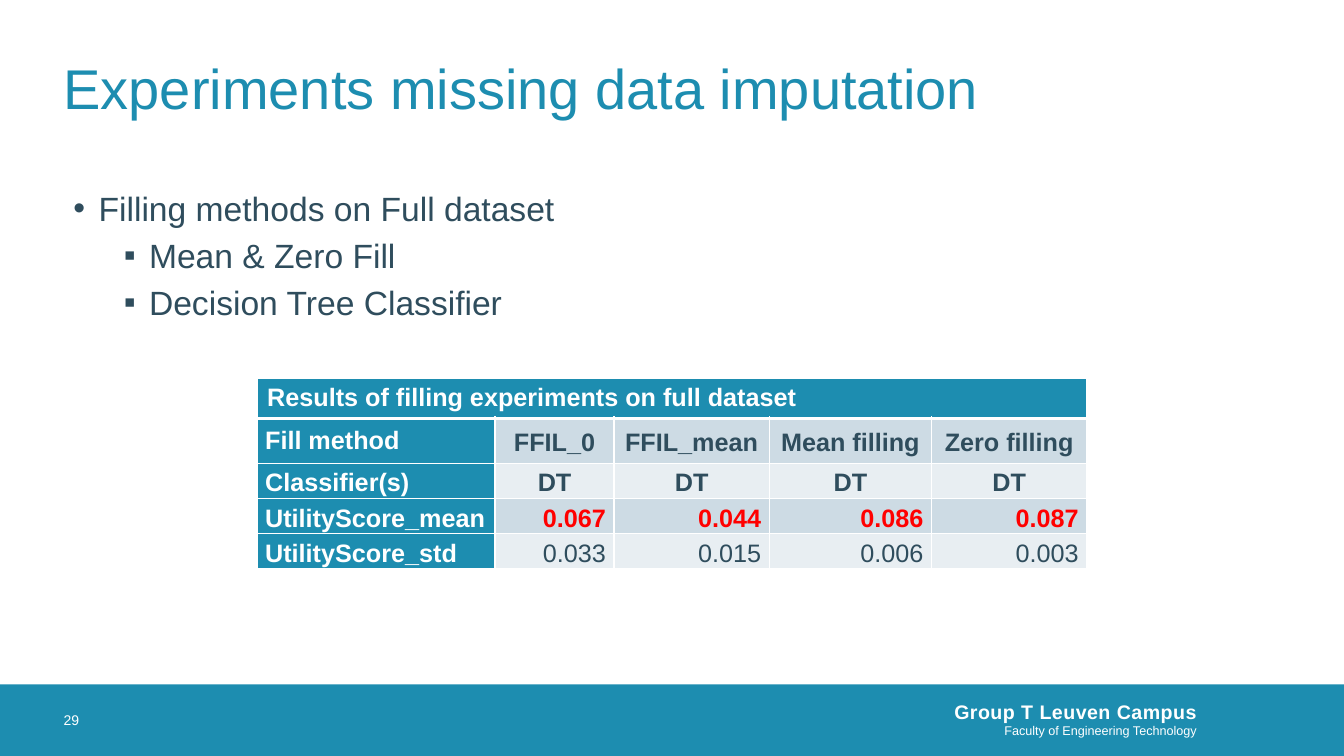
from dataclasses import dataclass

from lxml.etree import SubElement
from pptx import Presentation
from pptx.dml.color import RGBColor
from pptx.enum.shapes import MSO_SHAPE
from pptx.enum.text import MSO_ANCHOR, PP_ALIGN
from pptx.oxml.ns import qn
from pptx.util import Inches, Pt

TEAL, SLATE, WHITE, RED = "1D8DB0", "2F4D5D", "FFFFFF", "FF0000"
BAND_DARK, BAND_LIGHT = "CDDBE4", "E8EEF2"


@dataclass
class Line:
    text: str
    size: float
    color: str
    bold: bool = False
    align: PP_ALIGN = PP_ALIGN.LEFT
    before: float = 0
    after: float = 0
    leading: float = 1.0
    tracking: int = 0
    bullet: str = ""
    level: int = 0


@dataclass
class Block:
    left: float
    top: float
    width: float
    height: float
    lines: list[Line]
    anchor: MSO_ANCHOR = MSO_ANCHOR.MIDDLE
    margins: tuple[float, float, float, float] = (0, 0, 0, 0)


@dataclass
class ResultRow:
    label: str
    values: list[str]
    band: str
    color: str = SLATE
    bold: bool = True
    align: PP_ALIGN = PP_ALIGN.CENTER


def rgb(color: str) -> RGBColor:
    return RGBColor.from_string(color)


def paint(target, color: str) -> None:
    target.fill.solid()
    target.fill.fore_color.rgb = rgb(color)


def apply(target, values: dict) -> None:
    for name, value in values.items():
        setattr(target, name, value)


def margin_values(margins: tuple[float, float, float, float]) -> dict:
    sides = ("left", "top", "right", "bottom")
    return {f"margin_{side}": Inches(size) for side, size in zip(sides, margins)}


def write_lines(frame, lines: list[Line]) -> None:
    for index, line in enumerate(lines):
        paragraph = frame.paragraphs[0] if index == 0 else frame.add_paragraph()
        if line.bullet:
            properties = paragraph._p.get_or_add_pPr()
            properties.set("marL", str(Inches(0.25 + 0.5 * line.level)))
            properties.set("indent", str(Inches(-0.25)))
            SubElement(properties, qn("a:buFont")).set("typeface", "Arial")
            SubElement(properties, qn("a:buChar")).set("char", line.bullet)
        apply(paragraph, {
            "alignment": line.align, "level": line.level, "line_spacing": line.leading,
            "space_before": Pt(line.before), "space_after": Pt(line.after),
        })
        run = paragraph.add_run()
        run.text = line.text
        apply(run.font, {"name": "Arial", "size": Pt(line.size), "bold": line.bold})
        run.font.color.rgb = rgb(line.color)
        if line.tracking:
            run._r.get_or_add_rPr().set("spc", str(line.tracking))


def draw_block(slide, block: Block) -> None:
    box = slide.shapes.add_textbox(
        Inches(block.left), Inches(block.top), Inches(block.width), Inches(block.height))
    apply(box.text_frame, {
        "word_wrap": True, "vertical_anchor": block.anchor, **margin_values(block.margins)})
    write_lines(box.text_frame, block.lines)


def draw_cell(cell, line: Line, fill: str, margins: tuple[float, float, float, float],
              top: float = 1, bottom: float = 1) -> None:
    apply(cell, {"vertical_anchor": MSO_ANCHOR.MIDDLE, **margin_values(margins)})
    properties = cell._tc.get_or_add_tcPr()
    for side, width in (("L", 1), ("R", 1), ("T", top), ("B", bottom)):
        border = SubElement(properties, qn(f"a:ln{side}"), w=str(Pt(width)))
        solid = SubElement(border, qn("a:solidFill"))
        SubElement(solid, qn("a:srgbClr")).set("val", WHITE)
    paint(cell, fill)
    if line.text:
        write_lines(cell.text_frame, [line])


def draw_results(slide, heading: str, rows: list[ResultRow]) -> None:
    widths = [2.36, 1.18, 1.54, 1.61, 1.54]
    heights = [0.34] + [0.35] * len(rows)
    table = slide.shapes.add_table(
        len(heights), len(widths), Inches(2.55), Inches(3.75),
        Inches(sum(widths)), Inches(sum(heights))).table
    table.horz_banding = False
    for column, width in zip(table.columns, widths):
        column.width = Inches(width)
    for table_row, height in zip(table.rows, heights):
        table_row.height = Inches(height)

    roomy, tight = (0.1, 0.05, 0.1, 0.05), (0.08, 0, 0.08, 0)
    # Heading across all columns
    table.cell(0, 0).merge(table.cell(0, len(widths) - 1))
    for column in range(len(widths)):
        text = heading if column == 0 else ""
        draw_cell(table.cell(0, column), Line(text, 18, WHITE, True), TEAL, roomy, bottom=3)
    # Row labels and values
    for index, row in enumerate(rows, start=1):
        is_first = index == 1
        top = 3 if is_first else 1
        label = Line(row.label, 18, WHITE, True, after=0 if is_first else 6,
                     leading=1.0 if is_first else 1.15)
        draw_cell(table.cell(index, 0), label, TEAL, tight, top)
        for column, value in enumerate(row.values, start=1):
            score = Line(value, 18, row.color, row.bold, row.align, after=6, leading=1.15)
            draw_cell(table.cell(index, column), score, row.band,
                      roomy if is_first else tight, top)


TITLE = Block(0.63, 0.23, 12.07, 1.26, [Line("Experiments missing data imputation", 40, TEAL)])
METHODS = Block(0.63, 1.81, 12.07, 4.88, [
    Line("Filling methods on Full dataset", 24, SLATE, bullet="•"),
    Line("Mean & Zero Fill", 24, SLATE, before=5, bullet="▪", level=1),
    Line("Decision Tree Classifier", 24, SLATE, before=5, bullet="▪", level=1),
], MSO_ANCHOR.TOP, (0.1, 0.05, 0.1, 0.05))
CAMPUS = Block(5.71, 6.77, 6.36, 0.73, [
    Line("Group T Leuven Campus", 14, WHITE, True, PP_ALIGN.RIGHT, tracking=30),
    Line("Faculty of Engineering Technology", 9, WHITE, align=PP_ALIGN.RIGHT),
], margins=(0, 0, 0.2, 0))
PAGE_NUMBER = Block(0.63, 6.79, 0.71, 0.71, [Line("29", 10, WHITE)])
RESULTS = [
    ResultRow("Fill method", ["FFIL_0", "FFIL_mean", "Mean filling", "Zero filling"], BAND_DARK),
    ResultRow("Classifier(s)", ["DT"] * 4, BAND_LIGHT),
    ResultRow("UtilityScore_mean", ["0.067", "0.044", "0.086", "0.087"], BAND_DARK,
              RED, align=PP_ALIGN.RIGHT),
    ResultRow("UtilityScore_std", ["0.033", "0.015", "0.006", "0.003"], BAND_LIGHT,
              bold=False, align=PP_ALIGN.RIGHT),
]


def main() -> None:
    deck = Presentation()
    apply(deck, {"slide_width": Inches(13.33), "slide_height": Inches(7.5)})
    slide = deck.slides.add_slide(deck.slide_layouts[6])

    # Footer band
    footer = slide.shapes.add_shape(
        MSO_SHAPE.RECTANGLE, 0, Inches(6.79), Inches(13.33), Inches(0.71))
    footer.shadow.inherit = False
    paint(footer, TEAL)
    footer.line.fill.background()

    # Text and results
    for block in (CAMPUS, METHODS, PAGE_NUMBER, TITLE):
        draw_block(slide, block)
    draw_results(slide, "Results of filling experiments on full dataset", RESULTS)

    deck.save("out.pptx")


if __name__ == "__main__":
    main()
